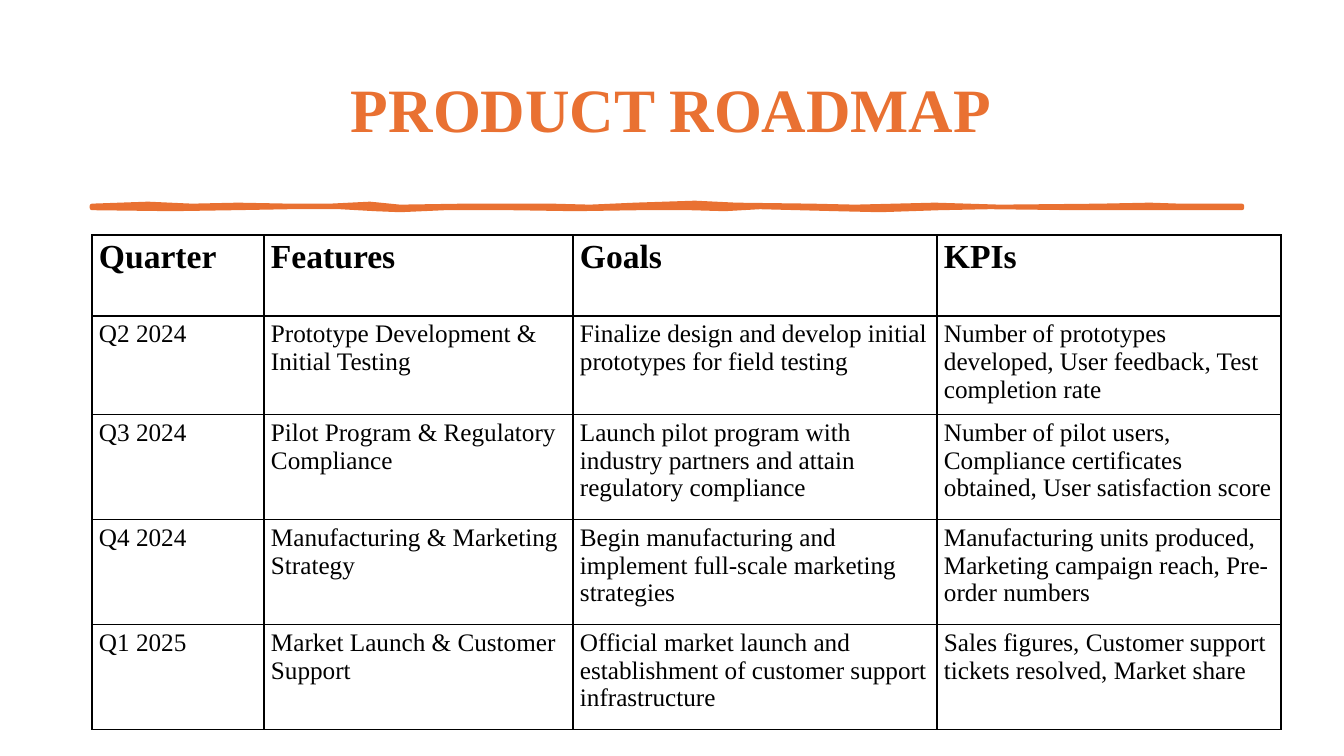
from dataclasses import dataclass

from lxml import etree
from pptx import Presentation
from pptx.dml.color import RGBColor
from pptx.enum.text import MSO_ANCHOR, PP_ALIGN
from pptx.oxml.ns import qn
from pptx.util import Emu, Pt

MIDDLE = MSO_ANCHOR.MIDDLE
TOP = MSO_ANCHOR.TOP
CENTER = PP_ALIGN.CENTER
LEFT = PP_ALIGN.LEFT
EMU_PER_PX = 914400 / 100.8
BLANK_LAYOUT = 6


@dataclass(frozen=True)
class Theme:
    font: str = "Times New Roman"
    accent: str = "E97132"
    ink: str = "000000"
    title_size: int = 44
    header_size: int = 24
    body_size: int = 18
    border_width: int = 1
    brush_width: float = 3.25


ROADMAP = [
    ["Quarter", "Features", "Goals", "KPIs"],
    ["Q2 2024", "Prototype Development & Initial Testing",
     "Finalize design and develop initial prototypes for field testing",
     "Number of prototypes developed, User feedback, Test completion rate"],
    ["Q3 2024", "Pilot Program & Regulatory Compliance",
     "Launch pilot program with industry partners and attain regulatory compliance",
     "Number of pilot users, Compliance certificates obtained, User satisfaction score"],
    ["Q4 2024", "Manufacturing & Marketing Strategy",
     "Begin manufacturing and implement full-scale marketing strategies",
     "Manufacturing units produced, Marketing campaign reach, Pre-order numbers"],
    ["Q1 2025", "Market Launch & Customer Support",
     "Official market launch and establishment of customer support infrastructure",
     "Sales figures, Customer support tickets resolved, Market share"],
]
COLUMN_WIDTHS = [172, 309, 364, 344]
ROW_HEIGHTS = [81, 91, 105, 105, 105]

BRUSH_TOP = [
    (92, 206), (148, 204), (192, 206), (238, 205), (290, 206), (330, 206),
    (370, 204), (400, 207), (464, 206), (552, 206), (590, 207), (635, 205),
    (695, 203), (736, 205), (812, 206), (855, 207), (935, 205), (1000, 207),
    (1100, 206), (1150, 205), (1180, 206), (1242, 206),
]
BRUSH_BOTTOM = [
    (1242, 208), (1076, 208), (990, 207), (940, 208), (880, 210), (836, 209),
    (760, 207), (725, 209), (690, 208), (640, 208), (575, 209), (510, 208),
    (445, 208), (400, 210), (375, 209), (340, 207), (290, 207), (235, 208),
    (172, 209), (92, 208),
]


def px(length):
    return Emu(round(length * EMU_PER_PX))


def write_text(frame, text, *, font, size, color, bold=False,
               align=LEFT, anchor=TOP, spacing=1.0):
    frame.word_wrap = True
    frame.vertical_anchor = anchor
    para = frame.paragraphs[0]
    para.alignment = align
    para.line_spacing = spacing
    span = para.add_run()
    span.text = text
    span.font.name = font
    span.font.size = Pt(size)
    span.font.bold = bold
    span.font.color.rgb = RGBColor.from_string(color)


class RoadmapSlide:
    def __init__(self, page, theme):
        self.page = page
        self.theme = theme

    def title(self, text, left, top, width, height):
        box = self.page.shapes.add_textbox(px(left), px(top), px(width), px(height))
        write_text(box.text_frame, text, font=self.theme.font,
                   size=self.theme.title_size, color=self.theme.accent,
                   bold=True, align=CENTER, anchor=MIDDLE, spacing=0.9)

    def brush_stroke(self, points):
        builder = self.page.shapes.build_freeform(*points[0], scale=EMU_PER_PX)
        builder.add_line_segments(points[1:], close=True)
        stroke = builder.convert_to_shape()
        color = RGBColor.from_string(self.theme.accent)
        stroke.shadow.inherit = False
        stroke.fill.solid()
        stroke.fill.fore_color.rgb = color
        stroke.line.color.rgb = color
        stroke.line.width = Pt(self.theme.brush_width)
        etree.SubElement(stroke.line._get_or_add_ln(), qn("a:round"))

    def table(self, rows, left, top, widths, heights):
        table = self.page.shapes.add_table(
            len(rows), len(widths), px(left), px(top),
            px(sum(widths)), px(sum(heights))).table
        table.first_row = False
        table.horz_banding = False
        for column, width in zip(table.columns, widths):
            column.width = px(width)
        for row, height in zip(table.rows, heights):
            row.height = px(height)
        for row_index, row in enumerate(rows):
            for column_index, text in enumerate(row):
                self.cell(table.cell(row_index, column_index), text, row_index == 0)

    def cell(self, cell, text, header):
        cell.margin_left = cell.margin_right = px(7)
        cell.margin_top = cell.margin_bottom = px(4)
        self.borders(cell)
        cell.fill.background()
        size = self.theme.header_size if header else self.theme.body_size
        write_text(cell.text_frame, text, font=self.theme.font, size=size,
                   color=self.theme.ink, bold=header)

    def borders(self, cell):
        properties = cell._tc.get_or_add_tcPr()
        for side in ("L", "R", "T", "B"):
            line = etree.SubElement(properties, qn(f"a:ln{side}"),
                                    w=str(Pt(self.theme.border_width)))
            fill = etree.SubElement(line, qn("a:solidFill"))
            etree.SubElement(fill, qn("a:srgbClr"), val=self.theme.ink)


def main():
    deck = Presentation()
    deck.slide_width = px(1344)
    deck.slide_height = px(756)
    page = deck.slides.add_slide(deck.slide_layouts[BLANK_LAYOUT])
    roadmap = RoadmapSlide(page, Theme())
    roadmap.title("PRODUCT ROADMAP", 92, 40, 1159, 146)
    roadmap.brush_stroke(BRUSH_TOP + BRUSH_BOTTOM)
    roadmap.table(ROADMAP, 92, 235, COLUMN_WIDTHS, ROW_HEIGHTS)
    deck.save("out.pptx")


if __name__ == "__main__":
    main()
